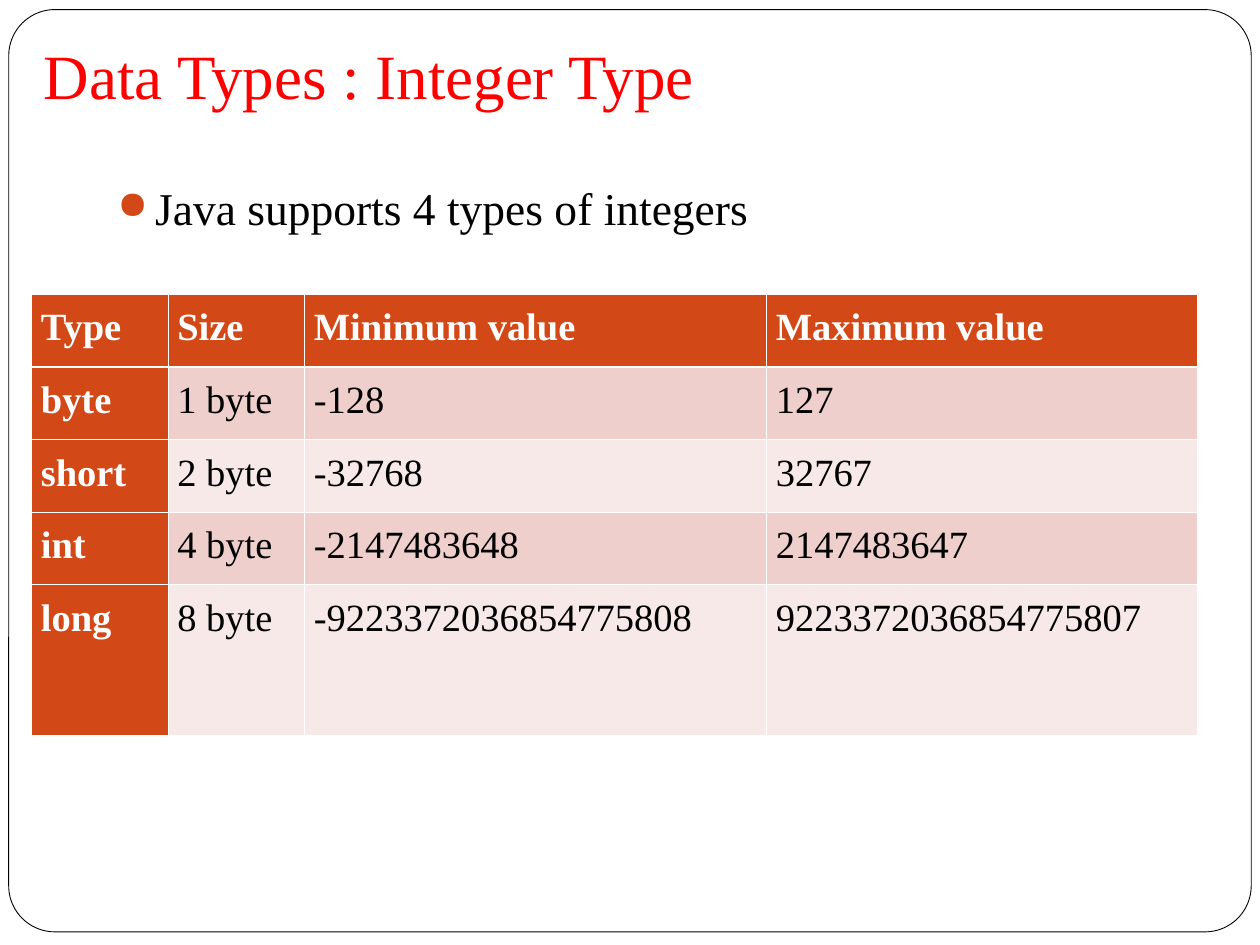
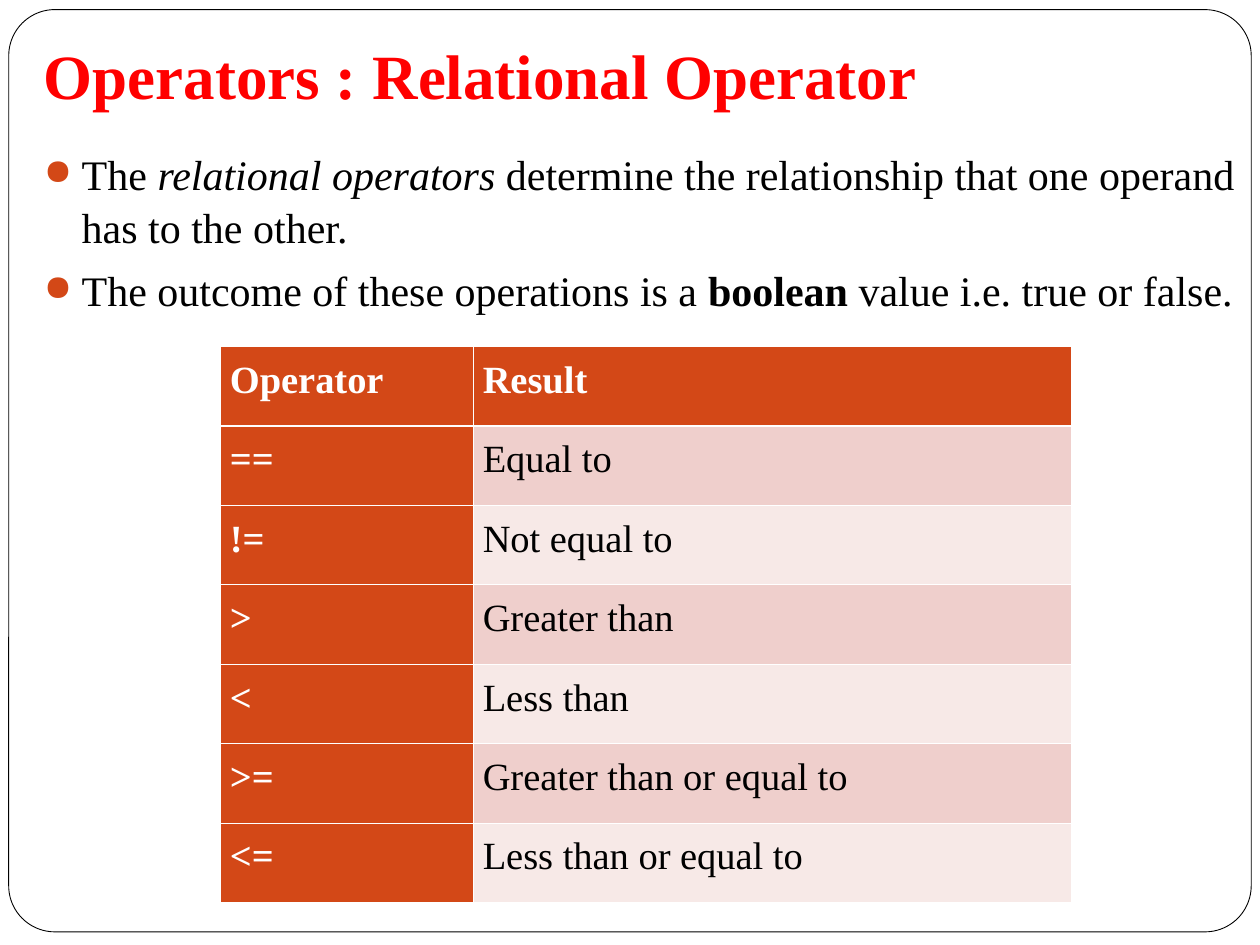
from lxml import etree
from pptx import Presentation
from pptx.dml.color import RGBColor
from pptx.enum.shapes import MSO_SHAPE
from pptx.enum.text import MSO_ANCHOR, PP_ALIGN
from pptx.oxml.ns import qn
from pptx.util import Pt

ROUNDED = MSO_SHAPE.ROUNDED_RECTANGLE
TOP = MSO_ANCHOR.TOP
BOTTOM = MSO_ANCHOR.BOTTOM
LEFT = PP_ALIGN.LEFT
JUSTIFY = PP_ALIGN.JUSTIFY
FONT = "Times New Roman"
COLORS = {
    "paper": "FFFFFF",
    "ink": "000000",
    "title": "FF0000",
    "accent": "D34817",
    "band_dark": "EFCFCC",
    "band_light": "F7E9E7",
}
INTEGER_TYPES = [
    ("Type", "Size", "Minimum value", "Maximum value"),
    ("byte", "1 byte", "-128", "127"),
    ("short", "2 byte", "-32768", "32767"),
    ("int", "4 byte", "-2147483648", "2147483647"),
    ("long", "8 byte", "-9223372036854775808", "9223372036854775807"),
]
RELATIONAL_OPERATORS = [
    ("Operator", "Result"),
    ("==", "Equal to"),
    ("!=", "Not equal to"),
    (">", "Greater than"),
    ("<", "Less than"),
    (">=", "Greater than or equal to"),
    ("<=", "Less than or equal to"),
]


def rgb(name):
    return RGBColor.from_string(COLORS[name])


def add_span(para, text, size=24, color="ink", bold=False, italic=False):
    span = para.add_run()
    span.text = text
    span.font.name = FONT
    span.font.size = Pt(size)
    span.font.color.rgb = rgb(color)
    span.font.bold = bold
    span.font.italic = italic


def add_text_box(page, left, top, width, height, anchor=TOP, bottom_inset=3.6):
    box = page.shapes.add_textbox(Pt(left), Pt(top), Pt(width), Pt(height))
    frame = box.text_frame
    frame.word_wrap = True
    frame.vertical_anchor = anchor
    frame.margin_bottom = Pt(bottom_inset)
    return frame


def add_page(deck, title, title_width, bold=False):
    page = deck.slides.add_slide(deck.slide_layouts[6])
    border = page.shapes.add_shape(ROUNDED, Pt(5), Pt(5.5), Pt(710), Pt(527))
    border.adjustments[0] = 0.05
    border.shadow.inherit = False
    border.fill.solid()
    border.fill.fore_color.rgb = rgb("paper")
    border.line.color.rgb = rgb("ink")
    border.line.width = Pt(0.5)
    frame = add_text_box(page, 18, 12, title_width, 59, BOTTOM, 7.2)
    add_span(frame.paragraphs[0], title, size=36, color="title", bold=bold)
    return page


def make_bullet(para, indent=21.6):
    properties = para._p.get_or_add_pPr()
    properties.set("marL", str(Pt(indent)))
    properties.set("indent", str(-Pt(indent)))
    color = etree.SubElement(properties, qn("a:buClr"))
    etree.SubElement(color, qn("a:srgbClr"), val=COLORS["accent"])
    etree.SubElement(properties, qn("a:buSzPct"), val="85000")
    etree.SubElement(properties, qn("a:buChar"), char="●")


def add_bullets(page, left, top, width, height, items, size):
    frame = add_text_box(page, left, top, width, height)
    for index, spans in enumerate(items):
        para = frame.add_paragraph() if index else frame.paragraphs[0]
        make_bullet(para)
        para.alignment = LEFT
        para.line_spacing = 1.05
        if index:
            para.space_before = Pt(5.8)
        for text, style in spans:
            add_span(para, text, size=size, **style)


def set_borders(cell, widths):
    properties = cell._tc.get_or_add_tcPr()
    for index, (side, width) in enumerate(widths.items()):
        line = etree.Element(qn(f"a:ln{side}"), w=str(Pt(width)))
        fill = etree.SubElement(line, qn("a:solidFill"))
        etree.SubElement(fill, qn("a:srgbClr"), val=COLORS["paper"])
        properties.insert(index, line)


def style_cell(cell, text, row, column):
    heading = row == 0 or column == 0
    band = "band_dark" if row % 2 else "band_light"
    cell.fill.solid()
    cell.fill.fore_color.rgb = rgb("accent" if heading else band)
    cell.margin_left = cell.margin_right = Pt(5.4)
    para = cell.text_frame.paragraphs[0]
    para.alignment = JUSTIFY
    para.line_spacing = 1.15
    add_span(para, text, size=22, color="paper" if heading else "ink", bold=heading)
    set_borders(cell, {
        "L": 0.45,
        "R": 0.45,
        "T": 1.47 if row == 1 else 0.45,
        "B": 1.47 if row == 0 else 0.45,
    })


def add_grid(page, left, top, rows, widths, heights):
    shape = page.shapes.add_table(
        len(rows), len(widths), Pt(left), Pt(top), Pt(sum(widths)), Pt(sum(heights)))
    table = shape.table
    for column, width in zip(table.columns, widths):
        column.width = Pt(width)
    for row, height in zip(table.rows, heights):
        row.height = Pt(height)
    for row, texts in enumerate(rows):
        for column, text in enumerate(texts):
            style_cell(table.cell(row, column), text, row, column)


def add_integer_page(deck):
    page = add_page(deck, "Data Types : Integer Type", 557)
    bullets = [[("Java supports 4 types of integers", {})]]
    add_bullets(page, 60, 98, 645, 388, bullets, size=26)
    add_grid(page, 18, 168, INTEGER_TYPES, [78, 78, 264, 246], [41.5] * 4 + [86])


def add_operator_page(deck):
    page = add_page(deck, "Operators : Relational Operator", 678, bold=True)
    bullets = [
        [
            ("The ", {}),
            ("relational operators ", {"italic": True}),
            ("determine the relationship that one operand has to the other.", {}),
        ],
        [
            ("The outcome of these operations is a ", {}),
            ("boolean ", {"bold": True}),
            ("value i.e. true or false.", {}),
        ],
    ]
    add_bullets(page, 18, 80, 702, 460, bullets, size=24)
    heights = [45.4] * len(RELATIONAL_OPERATORS)
    add_grid(page, 126, 198, RELATIONAL_OPERATORS, [144.5, 341.5], heights)


def main():
    deck = Presentation()
    deck.slide_width = Pt(720)
    deck.slide_height = Pt(540)
    add_integer_page(deck)
    add_operator_page(deck)
    deck.save("out.pptx")


if __name__ == "__main__":
    main()
